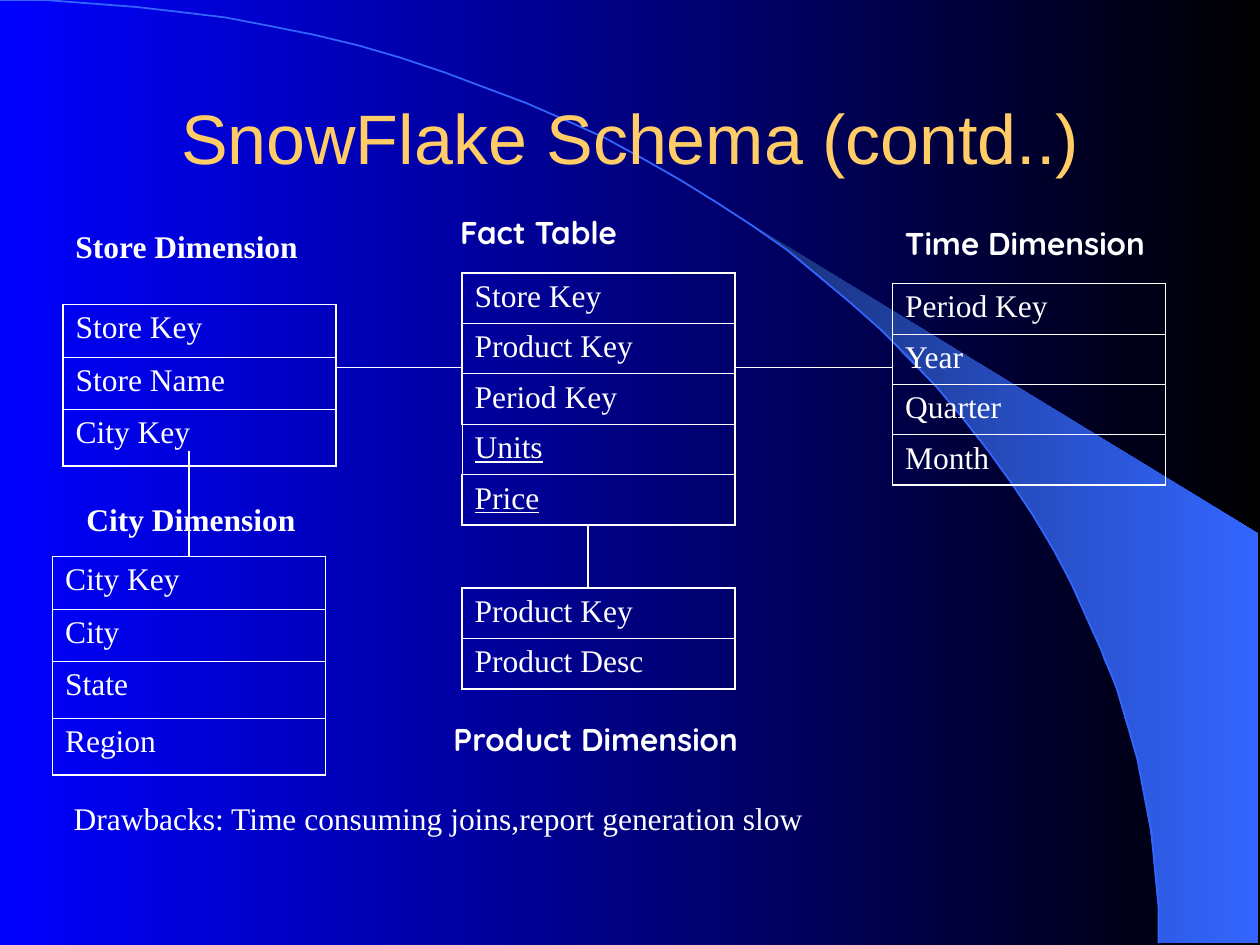
import math

from lxml import etree
from pptx import Presentation
from pptx.dml.color import RGBColor
from pptx.enum import shapes, text
from pptx.oxml import ns
from pptx.util import Pt

WHITE = RGBColor(0xFF, 0xFF, 0xFF)
GOLD = RGBColor(0xFF, 0xCC, 0x66)
BLUE = RGBColor(0x00, 0x00, 0xFF)
BLACK = RGBColor(0x00, 0x00, 0x00)
NAVY = RGBColor(0x18, 0x2F, 0x76)
SKY = RGBColor(0x33, 0x66, 0xFF)

SERIF = "Times New Roman"
ROUNDED = "Quicksand"
TABLE_WIDTH = 156
ROW = 28.8
THICK, THIN = 1.08, 0.45


def set_gradient(fill, start, end):
    fill.gradient()
    fill.gradient_angle = 0
    for stop, color in zip(fill.gradient_stops, (start, end)):
        stop.color.rgb = color


def write(frame, words, font=SERIF, size=18, color=WHITE, bold=False,
          underline=False, align=text.PP_ALIGN.LEFT):
    para = frame.paragraphs[0]
    para.alignment = align
    span = para.add_run()
    span.text = words
    span.font.name = font
    span.font.size = Pt(size)
    span.font.color.rgb = color
    span.font.bold = bold
    span.font.underline = underline


def arc_points(start, steps=40):
    """Points on the quarter ellipse from the start angle to 90 degrees."""
    angles = [math.radians(start + (90 - start) * i / steps) for i in range(steps + 1)]
    return [(662.4 * math.sin(a), 539.3 * (1 - math.cos(a))) for a in angles]


def add_outline(page, points, close):
    builder = page.shapes.build_freeform(*points[0], scale=Pt(1))
    builder.add_line_segments(points[1:], close=close)
    outline = builder.convert_to_shape()
    outline.shadow.inherit = False
    return outline


def add_backdrop(page):
    set_gradient(page.background.fill, BLUE, BLACK)
    corner = [(719.3, 539.3), (719.3, 304.6)]
    wedge = add_outline(page, arc_points(39.8) + corner, close=True)
    set_gradient(wedge.fill, NAVY, SKY)
    wedge.line.fill.background()
    arc = add_outline(page, arc_points(0), close=False)
    arc.fill.background()
    arc.line.color.rgb = SKY
    arc.line.width = Pt(1)


def add_title(page, words):
    title = page.shapes.title
    title.element.getparent().append(title.element)  # in front of the backdrop
    title.left, title.top, title.width, title.height = Pt(54), Pt(48), Pt(612), Pt(60)
    title.text_frame.vertical_anchor = text.MSO_ANCHOR.MIDDLE
    write(title.text_frame, words, font="Arial", size=40, color=GOLD,
          align=text.PP_ALIGN.CENTER)


def add_label(page, words, left, top, width, height=29, wrap=False, **style):
    box = page.shapes.add_textbox(Pt(left), Pt(top), Pt(width), Pt(height))
    box.text_frame.word_wrap = wrap
    box.text_frame.auto_size = text.MSO_AUTO_SIZE.SHAPE_TO_FIT_TEXT
    write(box.text_frame, words, **style)


def add_line(page, start, end, width=1):
    line = page.shapes.add_connector(
        shapes.MSO_CONNECTOR.STRAIGHT, *(Pt(value) for value in start + end))
    line.line.color.rgb = WHITE
    line.line.width = Pt(width)
    etree.SubElement(line.element.spPr, ns.qn("a:effectLst"))


def set_borders(cell, **widths):
    properties = cell._tc.get_or_add_tcPr()
    for side in "LRTB":
        border = etree.SubElement(properties, ns.qn(f"a:ln{side}"), w=str(Pt(widths[side])))
        fill = etree.SubElement(border, ns.qn("a:solidFill"))
        etree.SubElement(fill, ns.qn("a:srgbClr"), val=str(WHITE))


def add_fields(page, left, top, fields, heights=None, underlined=(), thin_left=()):
    """One-column table that lists the fields of a database table."""
    heights = heights or [ROW] * len(fields)
    table = page.shapes.add_table(len(fields), 1, Pt(left), Pt(top),
                                  Pt(TABLE_WIDTH), Pt(sum(heights))).table
    table.first_row = table.horz_banding = False
    for index, (field, height) in enumerate(zip(fields, heights)):
        table.rows[index].height = Pt(height)
        cell = table.cell(index, 0)
        set_borders(cell, L=THIN if field in thin_left else THICK, R=THICK,
                    T=THICK if index == 0 else THIN,
                    B=THICK if index == len(fields) - 1 else THIN)
        cell.fill.background()
        write(cell.text_frame, field, underline=field in underlined)


def main():
    deck = Presentation()
    deck.slide_width, deck.slide_height = Pt(720), Pt(540)
    page = deck.slides.add_slide(deck.slide_layouts[5])
    add_backdrop(page)
    add_title(page, "SnowFlake Schema (contd..)")

    add_fields(page, 264, 156, ["Store Key", "Product Key", "Period Key", "Units", "Price"],
               underlined=("Units", "Price"), thin_left=("Units",))
    add_label(page, "Time Dimension", 510, 124.5, 160, font=ROUNDED, bold=True)
    add_label(page, "Product Dimension", 252, 408, 177, height=50.5, wrap=True,
              font=ROUNDED, bold=True)
    add_label(page, "Fact Table", 255.8, 118, 106, font=ROUNDED, bold=True)

    add_line(page, (420, 210), (510, 210))
    add_line(page, (336, 300), (336, 336))
    add_line(page, (192, 210), (264, 210))

    add_fields(page, 36, 174, ["Store Key", "Store Name", "City Key"], [30, 30, 32.4])
    add_fields(page, 510, 162, ["Period Key", "Year", "Quarter", "Month"],
               thin_left=("Month",))
    add_fields(page, 264, 336, ["Product Key", "Product Desc"])
    add_fields(page, 30, 318, ["City Key", "City", "State", "Region"],
               [30, 30, 32.4, 32.4])

    add_label(page, "City Dimension", 42.3, 282, 134, bold=True)
    add_label(page, "Store Dimension", 36, 126, 142, bold=True)
    add_line(page, (108, 258), (108, 318), width=0.75)
    add_label(page, "Drawbacks: Time consuming joins,report generation slow",
              35, 453, 432)
    deck.save("out.pptx")


if __name__ == "__main__":
    main()
